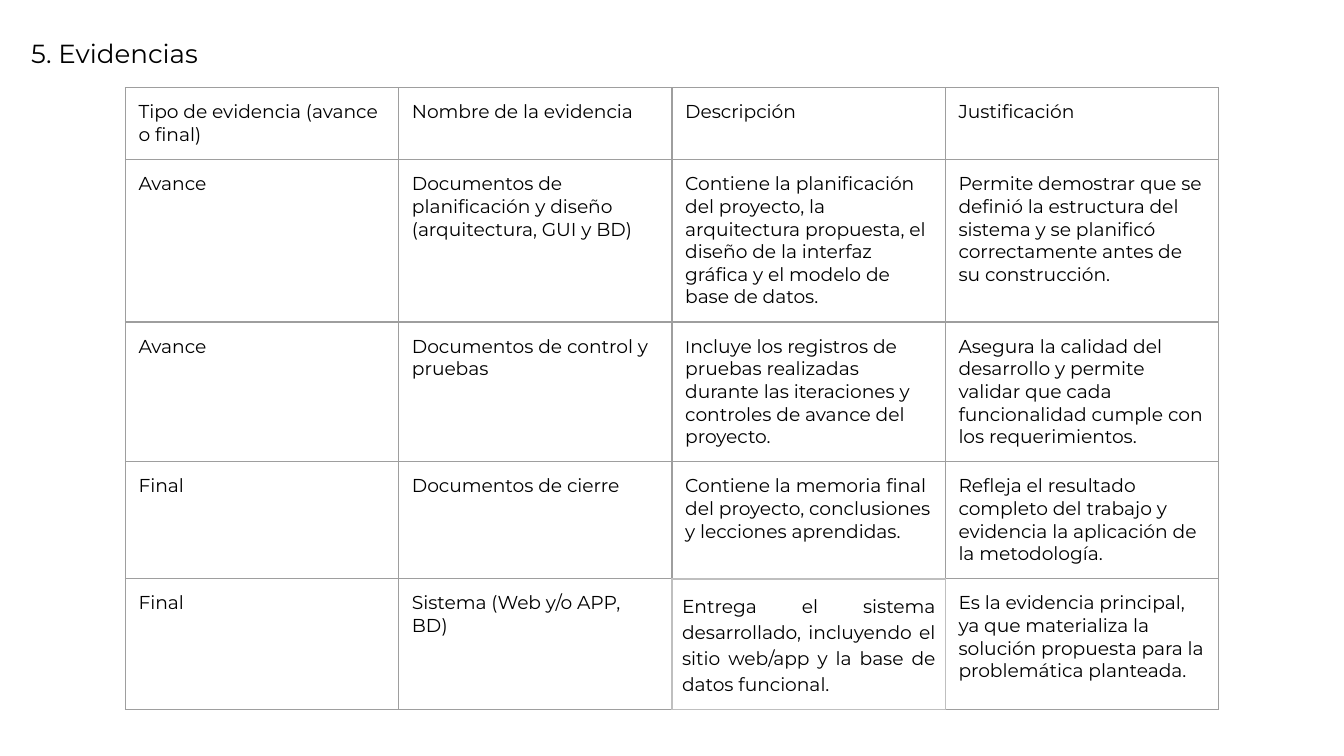
import pptx
import pptx.dml.color
import pptx.enum.text
import pptx.oxml
import pptx.oxml.ns
import pptx.util
from pptx.util import Cm

BLACK = pptx.dml.color.RGBColor(0x00, 0x00, 0x00)
GRID = pptx.dml.color.RGBColor(0x9E, 0x9E, 0x9E)
LIGHT_GRID = pptx.dml.color.RGBColor(0xBF, 0xBF, 0xBF)
FONT = "Montserrat"
INSET = Cm(0.25)
NARROW_INSET = Cm(0.19)
JUSTIFIED_CELL = (4, 2)
SMALL_INITIAL_CELL = (2, 2)
# Each side of a cell with the offset of the neighbour that shares it
SIDES = {"L": (0, -1), "R": (0, 1), "T": (-1, 0), "B": (1, 0)}

ROWS = [
    ["Tipo de evidencia (avance o final)", "Nombre de la evidencia",
     "Descripción", "Justificación"],
    ["Avance", "Documentos de planificación y diseño (arquitectura, GUI y BD)",
     "Contiene la planificación del proyecto, la arquitectura propuesta, el "
     "diseño de la interfaz gráfica y el modelo de base de datos.",
     "Permite demostrar que se definió la estructura del sistema y se "
     "planificó correctamente antes de su construcción."],
    ["Avance", "Documentos de control y pruebas",
     "Incluye los registros de pruebas realizadas durante las iteraciones y "
     "controles de avance del proyecto.",
     "Asegura la calidad del desarrollo y permite validar que cada "
     "funcionalidad cumple con los requerimientos."],
    ["Final", "Documentos de cierre",
     "Contiene la memoria final del proyecto, conclusiones y lecciones "
     "aprendidas.",
     "Refleja el resultado completo del trabajo y evidencia la aplicación de "
     "la metodología."],
    ["Final", "Sistema (Web y/o APP, BD)",
     "Entrega el sistema desarrollado, incluyendo el sitio web/app y la base "
     "de datos funcional.",
     "Es la evidencia principal, ya que materializa la solución propuesta "
     "para la problemática planteada."],
]


def format_runs(paragraph, size):
    for run in paragraph.runs:
        run.font.name = FONT
        run.font.size = pptx.util.Pt(size)
        run.font.color.rgb = BLACK


def set_margins(target, horizontal=INSET):
    target.margin_left = target.margin_right = horizontal
    target.margin_top = target.margin_bottom = INSET


def set_borders(cell, position):
    """Draw the four sides; those of the justified cell are lighter."""
    properties = cell._tc.get_or_add_tcPr()
    for index, (side, (down, across)) in enumerate(SIDES.items()):
        neighbour = (position[0] + down, position[1] + across)
        light = JUSTIFIED_CELL in (position, neighbour)
        color, width = (LIGHT_GRID, 1) if light else (GRID, 0.75)
        properties.insert(index, pptx.oxml.parse_xml(
            f'<a:ln{side} {pptx.oxml.ns.nsdecls("a")} w="{pptx.util.Pt(width)}">'
            f'<a:solidFill><a:srgbClr val="{color}"/></a:solidFill></a:ln{side}>'))


def place_title(slide, left, top, width, height):
    title = slide.shapes.title
    title.left, title.top, title.width, title.height = left, top, width, height
    text_frame = title.text_frame
    text_frame.text = "5. Evidencias"
    text_frame.word_wrap = True
    text_frame.auto_size = pptx.enum.text.MSO_AUTO_SIZE.NONE
    text_frame.vertical_anchor = pptx.enum.text.MSO_ANCHOR.TOP
    set_margins(text_frame)
    paragraph = text_frame.paragraphs[0]
    paragraph.alignment = pptx.enum.text.PP_ALIGN.LEFT
    format_runs(paragraph, 14)


def fill_cell(cell, text, position):
    paragraph = cell.text_frame.paragraphs[0]
    if position == SMALL_INITIAL_CELL:
        paragraph.text = text[0]
        paragraph.add_run().text = text[1:]
    else:
        paragraph.text = text
    format_runs(paragraph, 10)
    if position == SMALL_INITIAL_CELL:
        paragraph.runs[0].font.size = pptx.util.Pt(9)

    set_margins(cell)
    if position == JUSTIFIED_CELL:
        set_margins(cell, NARROW_INSET)
        paragraph.alignment = pptx.enum.text.PP_ALIGN.JUSTIFY
        paragraph.line_spacing = 1.15
    cell.fill.background()
    set_borders(cell, position)


def place_evidence_table(slide, left, top, width, height):
    frame = slide.shapes.add_table(
        len(ROWS), len(ROWS[0]), left, top, width, height)
    table = frame.table
    table.first_row = table.horz_banding = False
    for row_index, texts in enumerate(ROWS):
        for column_index, text in enumerate(texts):
            fill_cell(table.cell(row_index, column_index), text,
                      (row_index, column_index))


def main():
    presentation = pptx.Presentation()
    presentation.slide_width = Cm(25.4)
    presentation.slide_height = Cm(14.29)
    slide = presentation.slides.add_slide(presentation.slide_layouts[5])

    # Heading
    place_title(slide, Cm(0.34), Cm(0.46), Cm(23.67), Cm(1.6))
    # Evidence table; rows grow with their text
    place_evidence_table(slide, Cm(2.37), Cm(1.66), Cm(20.66), Cm(5.95))

    presentation.save("out.pptx")


if __name__ == "__main__":
    main()
